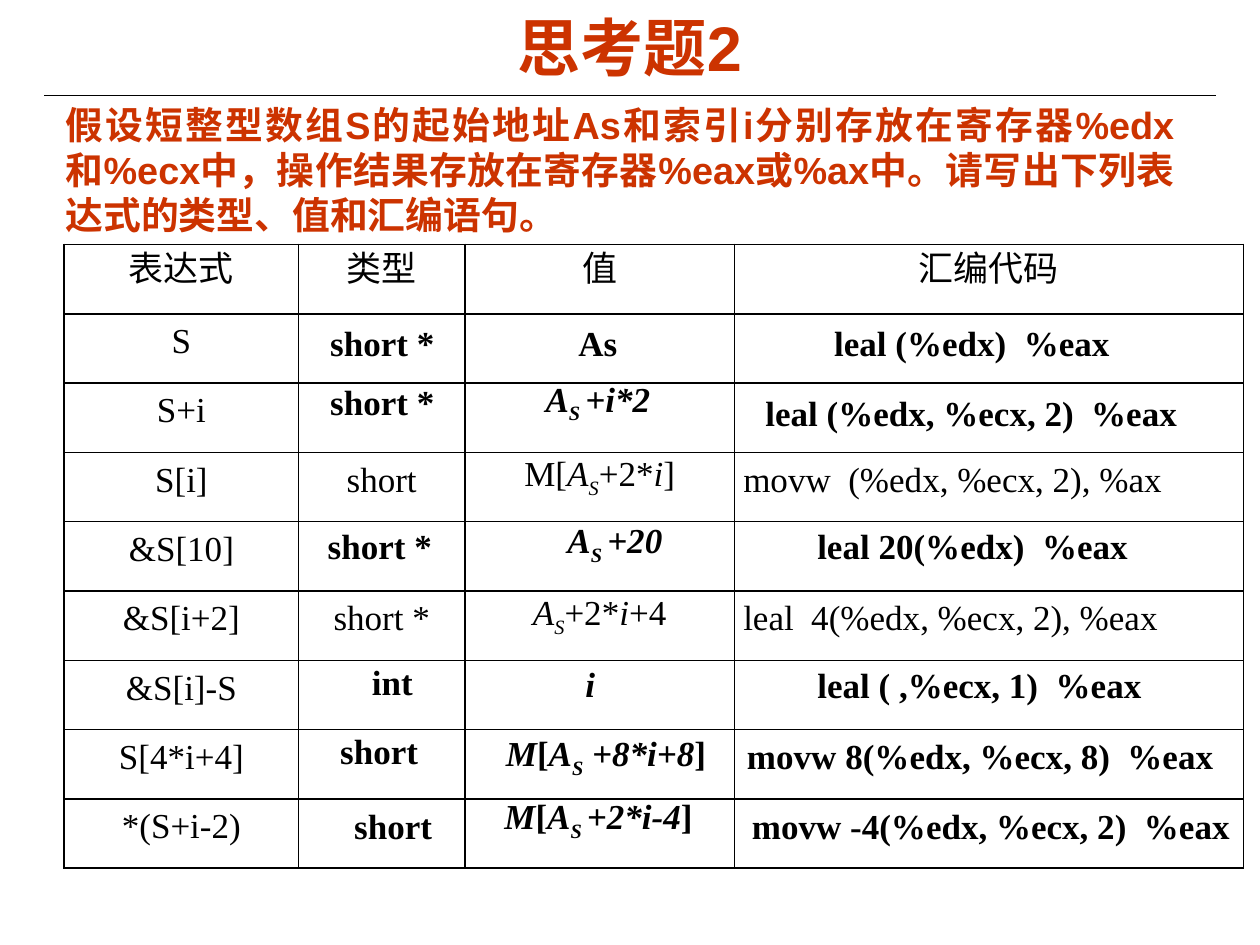
from dataclasses import dataclass

from lxml import etree
from pptx import Presentation
from pptx import util as u
from pptx.dml.color import RGBColor
from pptx.enum import shapes, text
from pptx.oxml import ns

COLORS = {"accent": "CC3300", "ink": "000000"}
HEADING_FONT, BODY_FONT = "Arial", "Times New Roman"
WIDTH, HEIGHT = u.Inches(10), u.Inches(7.5)
TABLE_LEFT, TABLE_TOP = u.Inches(0.51), u.Inches(1.94)
ROW_HEIGHT = u.Inches(0.55)
COLUMN_WIDTHS = (1.86, 1.32, 2.14, 4.04)
LINE_SPACING = u.Pt(15.6)

QUESTION = (
    "假设短整型数组S的起始地址As和索引i分别存放在寄存器%edx和%ecx中，"
    "操作结果存放在寄存器%eax或%ax中。请写出下列表达式的类型、值和汇编语句。"
)

# Markup: "|" parts runs, "/" opens an italic run, "_" an italic subscript
TABLE_ROWS = (
    ("表达式", "类型", "值", "汇编代码"),
    ("S",),
    ("S+i",),
    ("S[i]", "short", "M[|/A|_S|+2*|/i|]", "movw  (%edx, %ecx, 2), %ax"),
    ("&S[10]",),
    ("&S[i+2]", "short *", "/A|_S|+2*|/i|+4", "leal  4(%edx, %ecx, 2), %eax"),
    ("&S[i]-S",),
    ("S[4*i+4]",),
    ("*(S+i-2)",),
)


@dataclass(frozen=True)
class Answer:
    """Left and width are shares of the slide width, top counts table rows."""
    markup: str
    left: float
    top: float
    width: float
    wrap: bool = True


ANSWERS = (
    Answer("As", 0.449, 1.23, 0.051, False),
    Answer(" short *", 0.245, 1.23, 0.11, False),
    Answer(" leal (%edx)  %eax", 0.598, 1.23, 0.34),
    Answer(" short *", 0.245, 2.09, 0.11, False),
    Answer("/A|_S |/+i*2", 0.417, 2.12, 0.115),
    Answer(" leal (%edx, %ecx, 2)  %eax", 0.579, 2.25, 0.377),
    Answer(" short *", 0.243, 4.17, 0.11, False),
    Answer("/A|_S |/+20", 0.417, 4.16, 0.142),
    Answer(" leal 20(%edx)  %eax", 0.58, 4.16, 0.377),
    Answer(" int", 0.278, 6.13, 0.06, False),
    Answer("/i", 0.411, 6.15, 0.115),
    Answer(" leal ( ,%ecx, 1)  %eax", 0.604, 6.17, 0.34),
    Answer(" short", 0.253, 7.13, 0.089, False),
    Answer("/M|[|/A|_S|/ +8*i+8|]", 0.373, 7.24, 0.216),
    Answer(" movw 8(%edx, %ecx, 8)  %eax", 0.574, 7.19, 0.401),
    Answer(" short", 0.264, 8.2, 0.089, False),
    Answer("/M|[|/A|_S |/+2*i-4|]", 0.367, 8.15, 0.216),
    Answer(" movw -4(%edx, %ecx, 2)  %eax", 0.574, 8.2, 0.418),
)


def style_font(font, name: str, size: float, color: str, bold: bool) -> None:
    font.name, font.size, font.bold = name, u.Pt(size), bold
    font.color.rgb = RGBColor.from_string(COLORS[color])


def write_markup(paragraph, markup: str, bold: bool, align) -> None:
    paragraph.alignment = align
    paragraph.line_spacing = LINE_SPACING
    for part in markup.split("|"):
        run = paragraph.add_run()
        run.text = part.lstrip("/_")
        style_font(run.font, BODY_FONT, 20, "ink", bold)
        run.font.italic = part[0] in "/_"
        if part[0] == "_":
            run.font._element.set("baseline", "-25000")


def write_heading(shape, words: str, size: float, align) -> None:
    frame = shape.text_frame
    frame.text = words
    frame.word_wrap = True
    frame.auto_size = text.MSO_AUTO_SIZE.NONE
    frame.vertical_anchor = text.MSO_ANCHOR.MIDDLE
    paragraph = frame.paragraphs[0]
    paragraph.alignment = align
    style_font(paragraph.runs[0].font, HEADING_FONT, size, "accent", True)


def add_borders(cell) -> None:
    properties = cell._tc.get_or_add_tcPr()
    for side in ("lnL", "lnR", "lnT", "lnB"):
        line = etree.SubElement(properties, ns.qn(f"a:{side}"), w=str(u.Pt(1)))
        fill = etree.SubElement(line, ns.qn("a:solidFill"))
        etree.SubElement(fill, ns.qn("a:srgbClr"), val=COLORS["ink"])


def add_expression_table(slide) -> None:
    count = len(TABLE_ROWS)
    table = slide.shapes.add_table(
        count, len(COLUMN_WIDTHS), TABLE_LEFT, TABLE_TOP,
        u.Inches(sum(COLUMN_WIDTHS)), ROW_HEIGHT * count,
    ).table
    table.first_row = table.horz_banding = False
    for column, width in zip(table.columns, COLUMN_WIDTHS):
        column.width = u.Inches(width)
    for row_index, row in enumerate(table.rows):
        row.height = ROW_HEIGHT
        contents = TABLE_ROWS[row_index]
        for column_index, cell in enumerate(row.cells):
            add_borders(cell)
            cell.fill.background()
            cell.margin_left = cell.margin_right = u.Inches(0.07)
            cell.margin_top, cell.margin_bottom = u.Inches(0.16), 0
            if column_index < len(contents):
                is_code = column_index == 3 and row_index > 0
                align = text.PP_ALIGN.JUSTIFY if is_code else text.PP_ALIGN.CENTER
                paragraph = cell.text_frame.paragraphs[0]
                write_markup(paragraph, contents[column_index], False, align)


def add_answer(slide, answer: Answer) -> None:
    box = slide.shapes.add_textbox(
        int(WIDTH * answer.left), int(TABLE_TOP + ROW_HEIGHT * answer.top),
        int(WIDTH * answer.width), u.Inches(0.33),
    )
    frame = box.text_frame
    frame.word_wrap = answer.wrap
    frame.auto_size = text.MSO_AUTO_SIZE.SHAPE_TO_FIT_TEXT
    write_markup(frame.paragraphs[0], answer.markup, True, text.PP_ALIGN.CENTER)


def add_rule(slide) -> None:
    top = u.Inches(0.76)
    rule = slide.shapes.add_connector(
        shapes.MSO_CONNECTOR.STRAIGHT,
        int(WIDTH * 0.035), top, int(WIDTH * 0.965), top,
    )
    rule.line.color.rgb = RGBColor.from_string(COLORS["ink"])
    rule.line.width = u.Pt(0.75)
    etree.SubElement(rule._element.spPr, ns.qn("a:effectLst"))


def main() -> None:
    presentation = Presentation()
    presentation.slide_width, presentation.slide_height = WIDTH, HEIGHT
    slide = presentation.slides.add_slide(presentation.slide_layouts[5])

    # Heading, rule and question
    add_rule(slide)
    question = slide.shapes.title
    question.left, question.top = u.Inches(0.42), u.Inches(1.04)
    question.width, question.height = u.Inches(9), u.Inches(0.61)
    write_heading(question, QUESTION, 21.6, text.PP_ALIGN.JUSTIFY)
    heading = slide.shapes.add_textbox(
        u.Inches(0.5), u.Inches(0.06), u.Inches(9), u.Inches(0.61))
    write_heading(heading, "思考题2", 36, text.PP_ALIGN.CENTER)

    # Table of expressions with the answers laid over it
    add_expression_table(slide)
    for answer in ANSWERS:
        add_answer(slide, answer)

    presentation.save("out.pptx")


if __name__ == "__main__":
    main()
